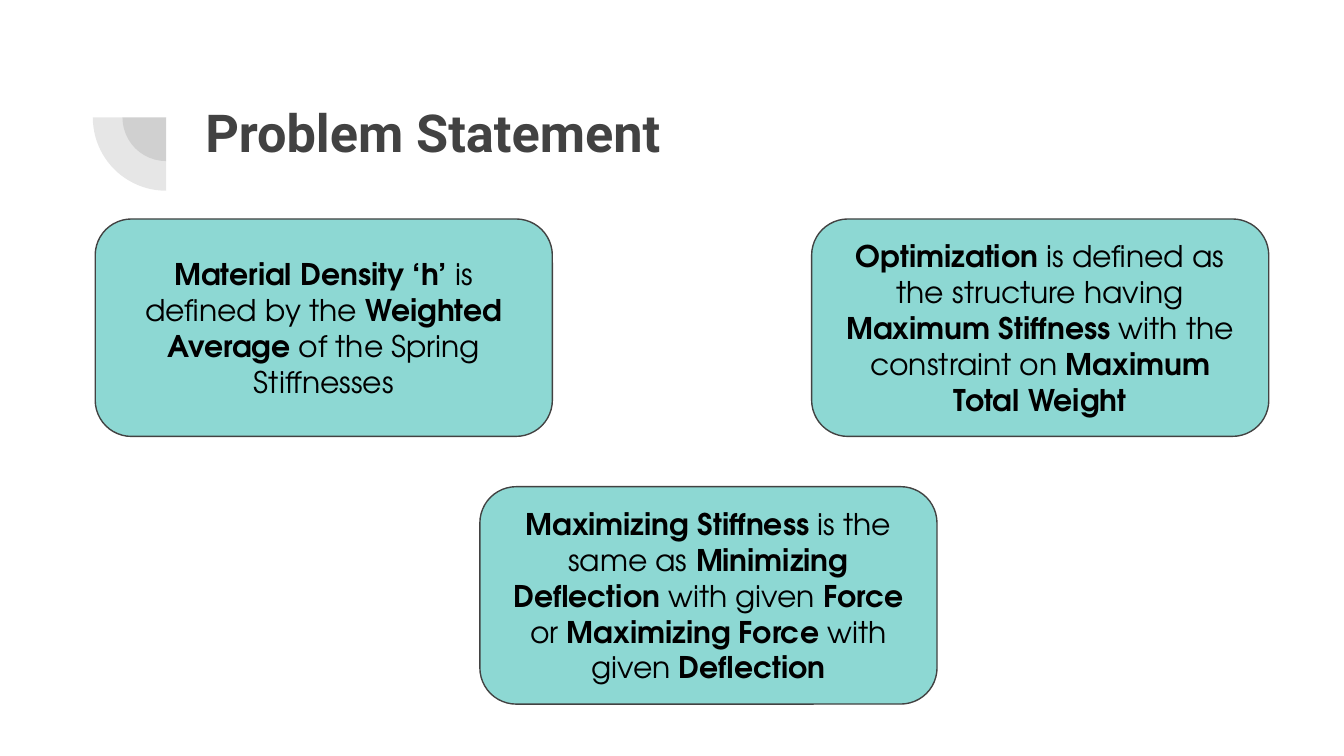
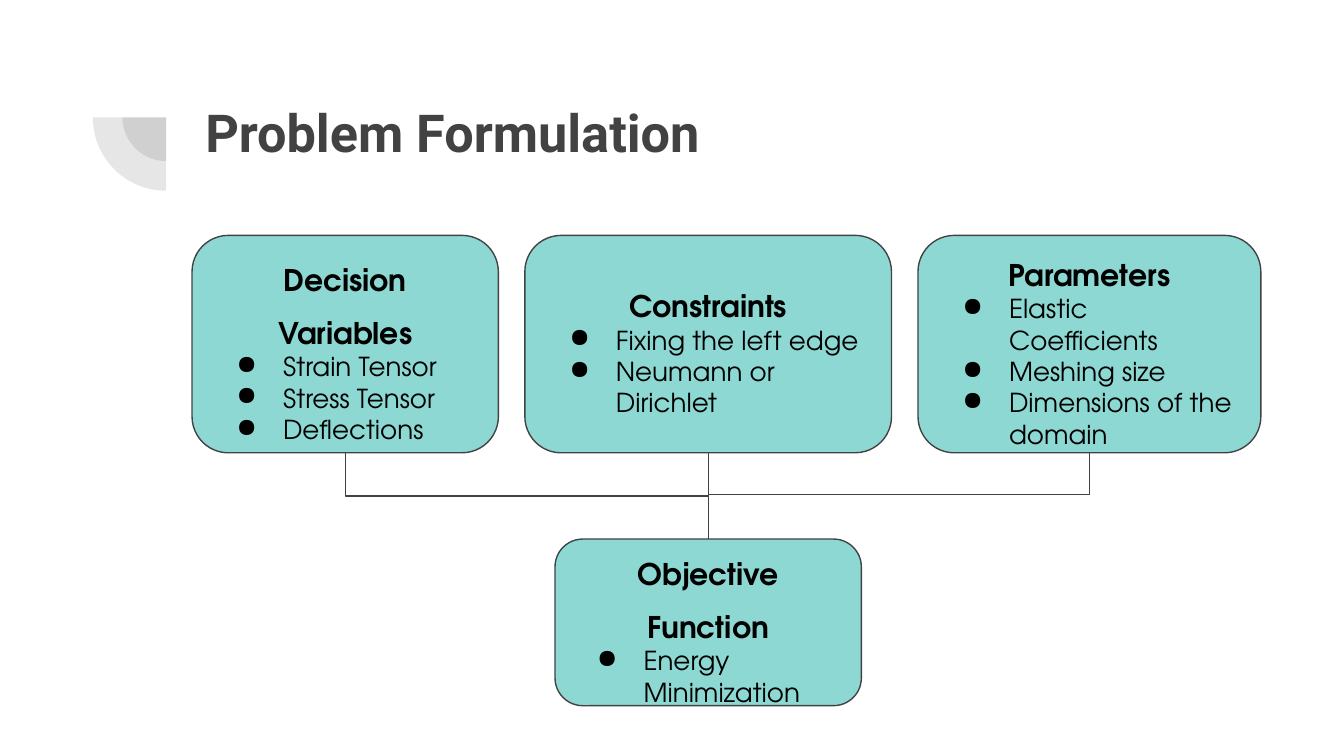
from lxml import etree
from pptx import Presentation
from pptx.dml.color import RGBColor
from pptx.enum.shapes import MSO_CONNECTOR, MSO_SHAPE
from pptx.enum.text import MSO_ANCHOR, PP_ALIGN
from pptx.oxml.ns import qn
from pptx.util import Cm, Pt

PIE, ROUNDED = MSO_SHAPE.PIE, MSO_SHAPE.ROUNDED_RECTANGLE
STRAIGHT, ELBOW = MSO_CONNECTOR.STRAIGHT, MSO_CONNECTOR.ELBOW
MIDDLE, CENTER, LEFT = MSO_ANCHOR.MIDDLE, PP_ALIGN.CENTER, PP_ALIGN.LEFT
TOP_SIDE, BOTTOM_SIDE = 0, 2

GREY, TEAL, BLACK = "424242", "8DD8D3", "000000"
TITLE_FONT, BODY_FONT = "Roboto", "TeX Gyre Adventor"
INSET = Cm(0.25)


def paint(color_format, color):
    color_format.rgb = RGBColor.from_string(color)


def add_box(slide, left, top, width, height, text, bullets=()):
    """Rounded box; parts of the text between asterisks are bold."""
    shape = slide.shapes.add_shape(ROUNDED, Cm(left), Cm(top), Cm(width), Cm(height))
    shape.shadow.inherit = False
    shape.fill.solid()
    paint(shape.fill.fore_color, TEAL)
    paint(shape.line.color, GREY)
    shape.line.width = Pt(0.75)

    frame = shape.text_frame
    frame.word_wrap = True
    frame.vertical_anchor = MIDDLE
    frame.margin_left = frame.margin_right = INSET
    frame.margin_top = frame.margin_bottom = INSET

    heading = frame.paragraphs[0]
    heading.alignment = CENTER
    if bullets:
        heading.line_spacing = 1.5
    for index, part in enumerate(text.split("*")):
        if part:
            run = heading.add_run()
            run.text = part
            run.font.size = Pt(16)
            run.font.bold = index % 2 == 1

    for bullet in bullets:
        paragraph = frame.add_paragraph()
        paragraph.text = bullet
        paragraph.alignment = LEFT
        paragraph.runs[0].font.size = Pt(14)
        properties = paragraph._p.get_or_add_pPr()
        properties.set("marL", str(Cm(1.27)))
        properties.set("indent", str(-Cm(0.88)))
        bullet_color = etree.SubElement(properties, qn("a:buClr"))
        etree.SubElement(bullet_color, qn("a:srgbClr"), val=BLACK)
        etree.SubElement(properties, qn("a:buChar"), char="●")

    for paragraph in frame.paragraphs:
        for run in paragraph.runs:
            run.font.name = BODY_FONT
            paint(run.font.color, BLACK)
    return shape


presentation = Presentation()
presentation.slide_width = Cm(25.4)
presentation.slide_height = Cm(14.29)

# Shared title and quarter-circle ornament
slides = []
for title in ("Problem Statement", "Problem Formulation"):
    slide = presentation.slides.add_slide(presentation.slide_layouts[6])
    slides.append(slide)
    for diameter in (1.65, 2.77):
        quarter = slide.shapes.add_shape(
            PIE, Cm(3.14 - diameter / 2), Cm(2.22 - diameter / 2), Cm(diameter), Cm(diameter))
        quarter.adjustments[0] = 108
        quarter.adjustments[1] = 162
        quarter.rotation = 270
        quarter.shadow.inherit = False
        quarter.line.fill.background()
        quarter.fill.solid()
        paint(quarter.fill.fore_color, GREY)
        fill_color = quarter._element.spPr.find(".//" + qn("a:srgbClr"))
        etree.SubElement(fill_color, qn("a:alpha"), val="13000")

    title_box = slide.shapes.add_textbox(Cm(3.63), Cm(1.65), Cm(19.53), Cm(2.77))
    frame = title_box.text_frame
    frame.word_wrap = True
    frame.margin_left = frame.margin_right = INSET
    frame.margin_top = frame.margin_bottom = INSET
    frame.text = title
    font = frame.paragraphs[0].runs[0].font
    font.name, font.size, font.bold = TITLE_FONT, Pt(28), True
    paint(font.color, GREY)

statement_slide, formulation_slide = slides

# Problem statement: three equal boxes
STATEMENTS = [
    (1.8, 4.14, "*Material Density ‘h’* is defined by the* Weighted Average* of the Spring Stiffnesses"),
    (15.34, 4.14, "*Optimization* is defined as the structure having *Maximum Stiffness*"
                  " with the constraint on *Maximum Total Weight*"),
    (9.07, 9.2, "*Maximizing Stiffness *is the same as* Minimizing Deflection* with given* Force *or "
                "*Maximizing Force *with given *Deflection*"),
]
for left, top, text in STATEMENTS:
    add_box(statement_slide, left, top, 8.64, 4.11, text)

# Problem formulation: a row of inputs
INPUTS = [
    (5.79, "*Decision Variables*", ["Strain Tensor", "Stress Tensor", "Deflections"]),
    (6.93, "*Constraints*", ["Fixing the left edge", "Neumann or Dirichlet"]),
    (6.48, "*Parameters*", ["Elastic Coefficients", "Meshing size", "Dimensions of the domain"]),
]
ROW_TOP, ROW_HEIGHT, GAP = 4.45, 4.11, 0.5
row_bottom = ROW_TOP + ROW_HEIGHT
left = 3.63
boxes, centers = [], []
for width, heading, bullets in INPUTS:
    boxes.append(add_box(formulation_slide, left, ROW_TOP, width, ROW_HEIGHT, heading, bullets))
    centers.append(left + width / 2)
    left += width + GAP

# Objective, centred below the constraints
OBJECTIVE_TOP, OBJECTIVE_WIDTH = 10.19, 5.79
decision_x, constraints_x, parameters_x = centers
objective = add_box(formulation_slide, constraints_x - OBJECTIVE_WIDTH / 2, OBJECTIVE_TOP,
                    OBJECTIVE_WIDTH, 3.15, "*Objective Function*", ["Energy Minimization"])

# Elbow connectors, turned so that they leave each box downwards
ELBOWS = [
    (decision_x, OBJECTIVE_TOP - row_bottom, 270, "bentConnector3"),
    (parameters_x, 0.79, 90, "bentConnector2"),
]
connectors = []
for start_x, drop, angle, preset in ELBOWS:
    middle_x = (start_x + constraints_x) / 2
    middle_y = row_bottom + drop / 2
    span = abs(start_x - constraints_x)
    connector = formulation_slide.shapes.add_connector(
        ELBOW, Cm(middle_x - drop / 2), Cm(middle_y - span / 2),
        Cm(middle_x + drop / 2), Cm(middle_y + span / 2))
    properties = connector._element.spPr
    transform = properties.find(qn("a:xfrm"))
    transform.set("rot", str(angle * 60000))
    if angle == 270:
        transform.set("flipH", "1")
    properties.find(qn("a:prstGeom")).set("prst", preset)
    connectors.append(connector)

# Straight connector from the objective up to the constraints
stem = formulation_slide.shapes.add_connector(
    STRAIGHT, Cm(constraints_x), Cm(OBJECTIVE_TOP), Cm(constraints_x), Cm(row_bottom))
stem.begin_connect(objective, TOP_SIDE)
stem.end_connect(boxes[1], BOTTOM_SIDE)
connectors.append(stem)

for connector in connectors:
    paint(connector.line.color, GREY)
    connector.line.width = Pt(0.75)
    etree.SubElement(connector._element.spPr, qn("a:effectLst"))

presentation.save("out.pptx")
